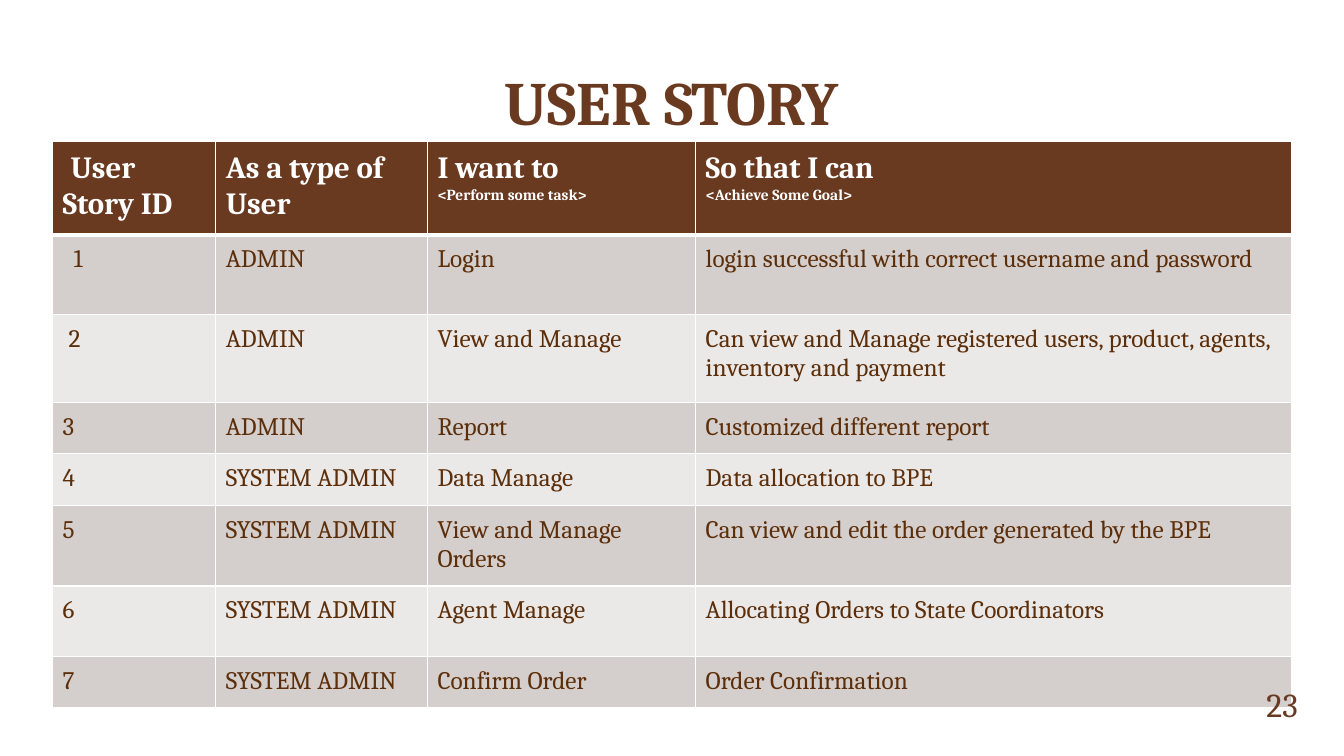
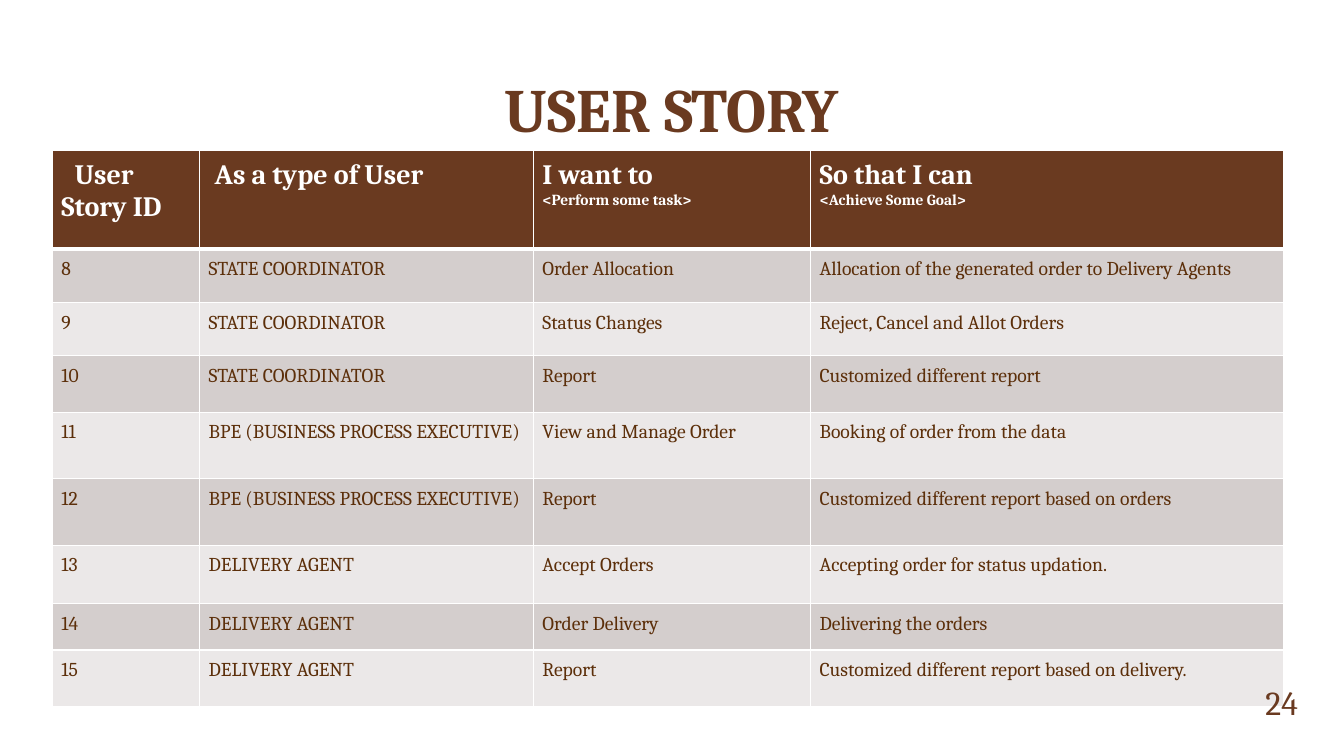
from itertools import product

from lxml import etree
from pptx import Presentation
from pptx.dml import color
from pptx.enum import text
from pptx.oxml import ns
from pptx.util import Inches, Pt

# Shared look
FONT = "Cambria"
BROWN, BODY, WHITE = "6A3A20", "5C2F0A", "FFFFFF"
BANDS = ["D4CECD", "EBE8E8"]
SLIDE_W, SLIDE_H = 13.33, 7.5
TABLE_LEFT = 0.52
TITLE_SIZE, NUMBER_SIZE, HINT_SIZE = 44, 24, 11

# A cell is a string, or a pair of string and first-line indent in inches
GOALS = ["I want to\n<Perform some task>", "So that I can\n<Achieve Some Goal>"]
STORIES = [
    {
        "number": 23, "number_top": 6.82, "title_top": 0.51, "top": 1.4,
        "sizes": (22, 18), "inset": 0.1,
        "cols": [1.62, 2.1, 2.66, 5.91],
        "rows": [0.91, 0.79, 0.87, 0.51, 0.51, 0.79, 0.7, 0.51],
        "cells": [
            [("User Story ID", 0.08), "As a type of User", *GOALS],
            [("1", 0.11), "ADMIN", "Login",
             "login successful with correct username and password"],
            [("2", 0.06), "ADMIN", "View and Manage",
             "Can view and Manage registered users, product, agents, inventory and payment"],
            ["3", "ADMIN", "Report", "Customized different report"],
            ["4", "SYSTEM ADMIN", "Data Manage", "Data allocation to BPE"],
            ["5", "SYSTEM ADMIN", "View and Manage Orders",
             "Can view and edit the order generated by the BPE"],
            ["6", "SYSTEM ADMIN", "Agent Manage", "Allocating Orders to State Coordinators"],
            ["7", "SYSTEM ADMIN", "Confirm Order", "Order Confirmation"],
        ],
    },
    {
        "number": 24, "number_top": 6.8, "title_top": 0.58, "top": 1.49,
        "sizes": (20, 14), "inset": 0.09,
        "cols": [1.46, 3.31, 2.75, 4.69],
        "rows": [0.98, 0.53, 0.53, 0.56, 0.66, 0.66, 0.58, 0.46, 0.56],
        "cells": [
            [("User Story ID", 0.13), ("As a type of User", 0.06), *GOALS],
            ["8", "STATE COORDINATOR", "Order Allocation",
             "Allocation of the generated order to Delivery Agents"],
            ["9", "STATE COORDINATOR", "Status Changes", "Reject, Cancel and Allot Orders"],
            ["10", "STATE COORDINATOR", "Report", "Customized different report"],
            ["11", "BPE (BUSINESS PROCESS EXECUTIVE)", "View and Manage Order",
             "Booking of order from the data"],
            ["12", "BPE (BUSINESS PROCESS EXECUTIVE)", "Report",
             "Customized different report based on orders"],
            ["13", "DELIVERY AGENT", "Accept Orders", "Accepting order for status updation."],
            ["14", "DELIVERY AGENT", "Order Delivery", "Delivering the orders"],
            ["15", "DELIVERY AGENT", "Report", "Customized different report based on delivery."],
        ],
    },
]


def rgb(value):
    return color.RGBColor.from_string(value)


def add_run(p, words, size, ink, bold=False):
    r = p.add_run()
    r.text = words
    r.font.name, r.font.size, r.font.bold = FONT, Pt(size), bold
    r.font.color.rgb = rgb(ink)


def add_text(slide, box, words, size, align, anchor, bold=False):
    tf = slide.shapes.add_textbox(*map(Inches, box)).text_frame
    tf.word_wrap = True
    tf.vertical_anchor = anchor
    p = tf.paragraphs[0]
    p.alignment = align
    add_run(p, words, size, BROWN, bold)


def set_borders(cell, widths):
    """Draw white cell borders; widths maps side letters to points."""
    tc_pr = cell._tc.get_or_add_tcPr()
    for i, side in enumerate("LRTB"):
        ln = etree.Element(ns.qn(f"a:ln{side}"), w=str(Pt(widths.get(side, 1))))
        fill = etree.SubElement(ln, ns.qn("a:solidFill"))
        etree.SubElement(fill, ns.qn("a:srgbClr"), val=WHITE)
        tc_pr.insert(i, ln)


def fill_cell(cell, content, row, sizes, inset):
    words, indent = content if isinstance(content, tuple) else (content, 0)
    header = row == 0
    cell.fill.solid()
    cell.fill.fore_color.rgb = rgb(BROWN if header else BANDS[(row - 1) % 2])
    cell.margin_left = cell.margin_right = Inches(inset)
    cell.margin_top = cell.margin_bottom = Inches(inset)
    set_borders(cell, {"B": 3} if header else {"T": 3} if row == 1 else {})

    tf = cell.text_frame
    for i, line in enumerate(words.split("\n")):
        p = tf.add_paragraph() if i else tf.paragraphs[0]
        if indent:
            p._p.get_or_add_pPr().set("indent", str(Inches(indent)))
        size = HINT_SIZE if i else sizes[0 if header else 1]
        add_run(p, line, size, WHITE if header else BODY, header)


def add_story_table(slide, story):
    cols, rows = story["cols"], story["rows"]
    box = (TABLE_LEFT, story["top"], sum(cols), sum(rows))
    table = slide.shapes.add_table(len(rows), len(cols), *map(Inches, box)).table
    for column, width in zip(table.columns, cols):
        column.width = Inches(width)
    for row, height in zip(table.rows, rows):
        row.height = Inches(height)
    for i, j in product(range(len(rows)), range(len(cols))):
        fill_cell(table.cell(i, j), story["cells"][i][j], i, story["sizes"], story["inset"])


def add_story_slide(prs, story):
    slide = prs.slides.add_slide(prs.slide_layouts[6])
    add_text(slide, (SLIDE_W * 0.1, story["title_top"], SLIDE_W * 0.8, 0.91), "USER STORY",
             TITLE_SIZE, text.PP_ALIGN.CENTER, text.MSO_ANCHOR.BOTTOM, bold=True)
    add_story_table(slide, story)
    add_text(slide, (12.19, story["number_top"], 0.78, 0.33), str(story["number"]),
             NUMBER_SIZE, text.PP_ALIGN.RIGHT, text.MSO_ANCHOR.MIDDLE)


def main():
    prs = Presentation()
    prs.slide_width, prs.slide_height = Inches(SLIDE_W), Inches(SLIDE_H)
    for story in STORIES:
        add_story_slide(prs, story)
    prs.save("out.pptx")


if __name__ == "__main__":
    main()
